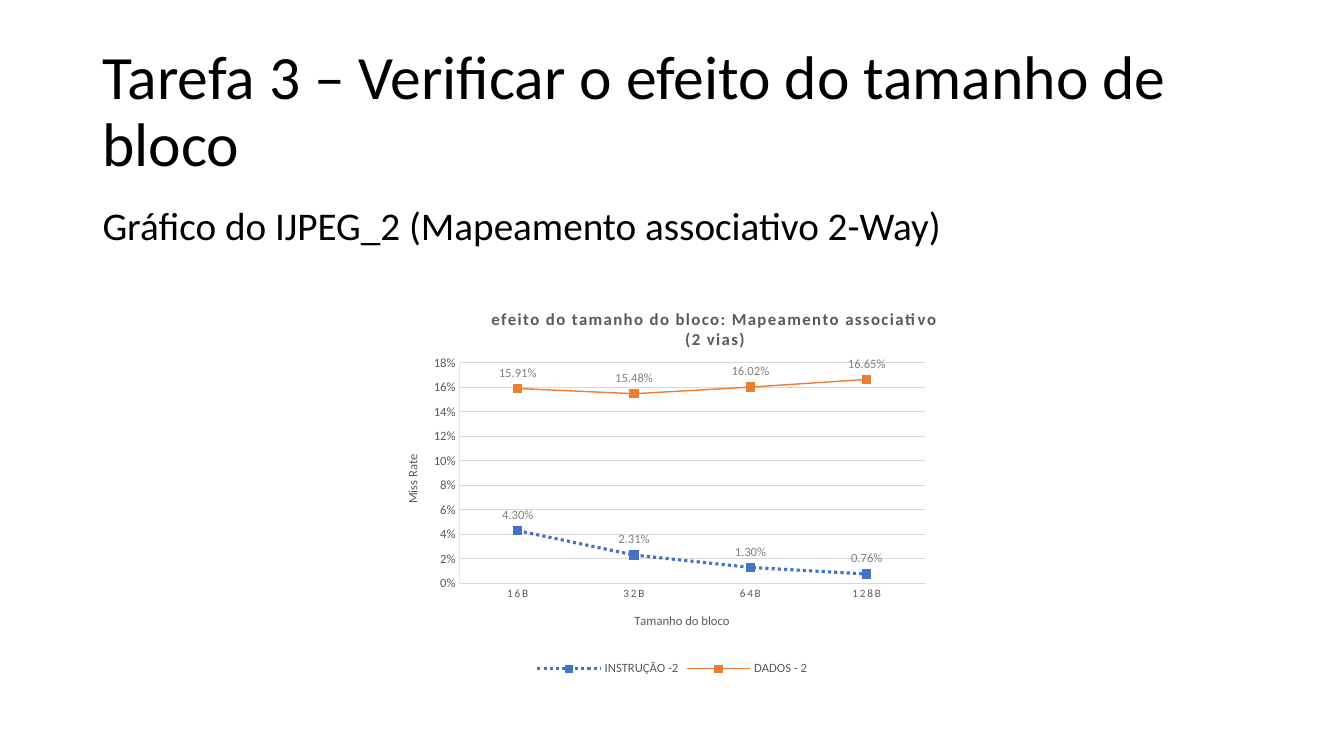
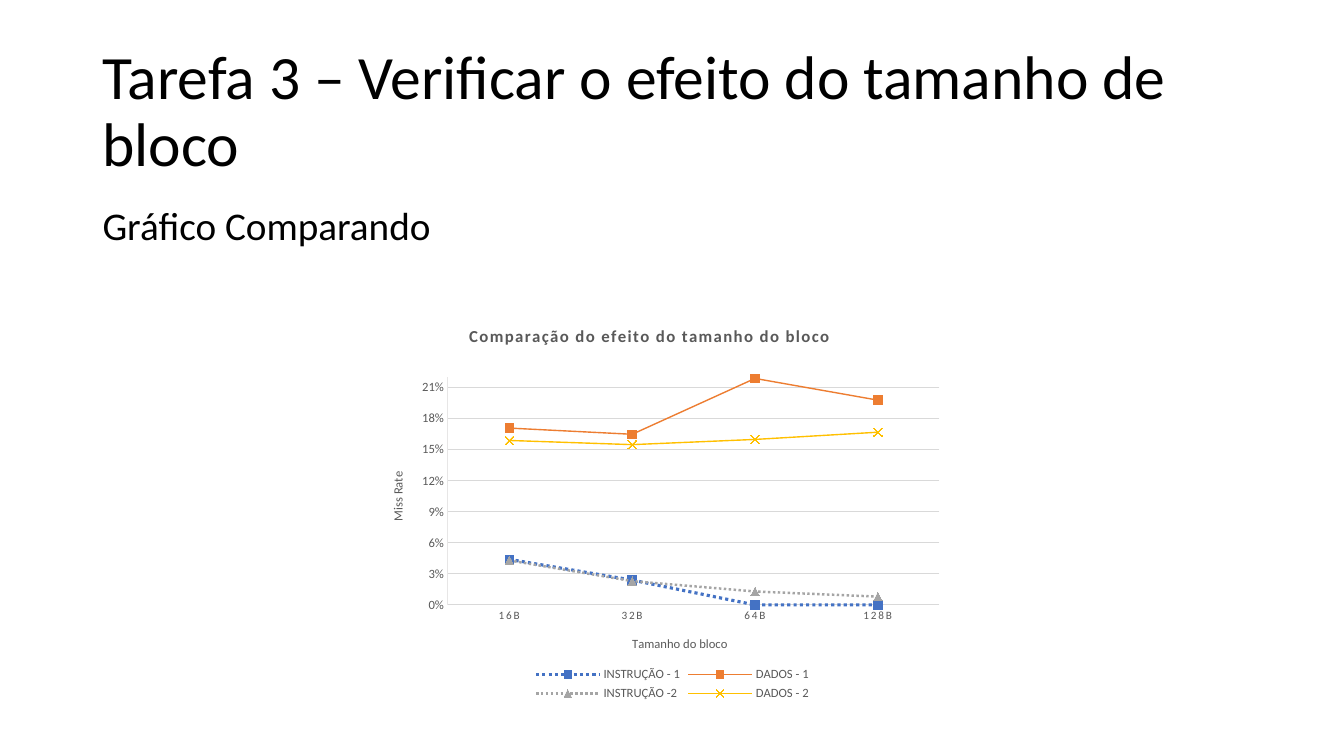
from dataclasses import dataclass

from lxml.etree import SubElement
from pptx import Presentation
from pptx.chart.data import CategoryChartData
from pptx.dml.color import RGBColor
from pptx.enum.chart import (XL_CHART_TYPE, XL_LABEL_POSITION, XL_LEGEND_POSITION,
                             XL_MARKER_STYLE, XL_TICK_MARK)
from pptx.enum.dml import MSO_LINE
from pptx.enum.text import MSO_ANCHOR, PP_ALIGN
from pptx.oxml.ns import qn
from pptx.util import Cm, Pt

FONT = "Calibri"
BLACK = RGBColor(0x00, 0x00, 0x00)
DARK_GRAY = RGBColor(0x59, 0x59, 0x59)
LABEL_GRAY = RGBColor(0x80, 0x80, 0x80)
GRID_GRAY = RGBColor(0xD9, 0xD9, 0xD9)
AXIS_GRAY = RGBColor(0xE7, 0xE6, 0xE6)
BLUE = RGBColor(0x44, 0x72, 0xC4)
ORANGE = RGBColor(0xED, 0x7D, 0x31)
GRAY = RGBColor(0xA5, 0xA5, 0xA5)
YELLOW = RGBColor(0xFF, 0xC0, 0x00)

HEADING = "Tarefa 3 – Verificar o efeito do tamanho de bloco"
HEADING_SIZE = 44
BODY_SIZE = 28
BLOCK_SIZES = ["16B", "32B", "64B", "128B"]
SQUARE = XL_MARKER_STYLE.SQUARE


@dataclass
class MissRate:
    """One miss-rate curve and its look."""
    name: str
    values: list
    color: RGBColor
    width: float = 1
    dotted: bool = False
    marker: XL_MARKER_STYLE = SQUARE


def style_font(font, size, color, bold=False):
    """Apply the deck's typeface with a size, colour and weight."""
    font.name = FONT
    font.size = Pt(size)
    font.bold = bold
    font.color.rgb = color


def style_line(line, color, width):
    """Give a line its colour and width in points."""
    line.color.rgb = color
    line.width = Pt(width)


def style_master(master):
    """Make first-level body text plain, unbulleted and of the deck's size."""
    for level in master.element.xpath("./p:txStyles/p:bodyStyle/a:lvl1pPr"):
        level.set("marL", "0")
        level.set("indent", "0")
        for tag in ("a:buFont", "a:buChar"):
            for bullet in level.findall(qn(tag)):
                level.remove(bullet)
        level.find(qn("a:defRPr")).set("sz", str(BODY_SIZE * 100))


def place_text(placeholder, text, size, box, anchor, space_before=0):
    """Move a placeholder and fill it with one left-aligned paragraph."""
    placeholder.left, placeholder.top, placeholder.width, placeholder.height = map(Cm, box)
    frame = placeholder.text_frame
    frame.text = text
    frame.vertical_anchor = anchor
    paragraph = frame.paragraphs[0]
    paragraph.alignment = PP_ALIGN.LEFT
    paragraph.line_spacing = 0.9
    paragraph.space_before = Pt(space_before)
    style_font(paragraph.font, size, BLACK)


def add_content_slide(prs, body_text):
    """Add a slide with the shared heading and one line of body text."""
    slide = prs.slides.add_slide(prs.slide_layouts[1])
    place_text(slide.shapes.title, HEADING, HEADING_SIZE,
               (2.33, 1.01, 29.21, 3.68), MSO_ANCHOR.MIDDLE)
    place_text(slide.placeholders[1], body_text, BODY_SIZE,
               (2.33, 5.08, 29.21, 12.09), MSO_ANCHOR.TOP, 10)
    return slide


def set_layout(parent, index, **settings):
    """Fix the position of a chart part as fractions of the chart."""
    for old_layout in parent.findall(qn("c:layout")):
        parent.remove(old_layout)
    layout = parent.makeelement(qn("c:layout"))
    parent.insert(index, layout)
    manual = SubElement(layout, qn("c:manualLayout"))
    for tag, value in settings.items():
        SubElement(manual, qn(f"c:{tag}")).set("val", str(value))


def set_title(owner, root, title_query, text, size, position, bold=False):
    """Write and place the title of a chart or axis."""
    frame = owner.text_frame
    frame.text = text
    style_font(frame.paragraphs[0].font, size, DARK_GRAY, bold)
    x, y = position
    set_layout(root.xpath(title_query)[0], 1, xMode="edge", yMode="edge", x=x, y=y)


def space_letters(root, text_query, spacing):
    """Spread the letters of a chart text, in hundredths of a point."""
    for properties in root.xpath(f"{text_query}//a:defRPr"):
        properties.set("spc", str(spacing))


def style_axis(axis, size, color):
    """Format tick labels and axis line."""
    axis.major_tick_mark = axis.minor_tick_mark = XL_TICK_MARK.NONE
    style_font(axis.tick_labels.font, size, DARK_GRAY)
    style_line(axis.format.line, color, 0.75)


def style_curve(series, rate, labelled):
    """Format one curve, its markers and its optional value labels."""
    series.smooth = False
    style_line(series.format.line, rate.color, rate.width)
    if rate.dotted:
        series.format.line.dash_style = MSO_LINE.ROUND_DOT
    marker = series.marker
    marker.style = rate.marker
    marker.size = 6
    style_line(marker.format.line, rate.color, 0.75)
    if rate.marker == XL_MARKER_STYLE.X:
        marker.format.fill.background()
    else:
        marker.format.fill.solid()
        marker.format.fill.fore_color.rgb = rate.color
    if labelled:
        labels = series.data_labels
        labels.show_value = True
        labels.position = XL_LABEL_POSITION.ABOVE
        labels.number_format = "0.00%"
        labels.number_format_is_linked = False
        style_font(labels.font, 9, LABEL_GRAY)


def add_miss_rate_chart(slide, box, title, title_position, rates, labelled=False):
    """Add a line chart of miss rate by block size."""
    data = CategoryChartData(number_format="0.00%")
    data.categories = BLOCK_SIZES
    for rate in rates:
        data.add_series(rate.name, rate.values)
    chart = slide.shapes.add_chart(XL_CHART_TYPE.LINE_MARKERS, *map(Cm, box), data).chart
    root = chart.element
    style_font(chart.font, 10, BLACK)

    block_axis, rate_axis = chart.category_axis, chart.value_axis
    style_axis(block_axis, 8, GRID_GRAY)
    style_axis(rate_axis, 9, AXIS_GRAY)
    rate_axis.minimum_scale = 0
    rate_axis.tick_labels.number_format = "0%"
    rate_axis.tick_labels.number_format_is_linked = False
    rate_axis.has_major_gridlines = True
    style_line(rate_axis.major_gridlines.format.line, GRID_GRAY, 0.75)

    chart.has_title = True
    set_title(chart.chart_title, root, "./c:chart/c:title", title, 12, title_position, True)
    set_title(block_axis.axis_title, root, ".//c:catAx/c:title",
              "Tamanho do bloco", 9, (0.43, 0.82))
    set_title(rate_axis.axis_title, root, ".//c:valAx/c:title",
              "Miss Rate", 9, (0.03, 0.41))
    space_letters(root, "./c:chart/c:title", 100)
    space_letters(root, ".//c:catAx/c:txPr", 120)
    set_layout(root.xpath(".//c:plotArea")[0], 0, layoutTarget="inner",
               xMode="edge", yMode="edge", x=0.13, y=0.18, w=0.81, h=0.57)

    chart.has_legend = True
    chart.legend.position = XL_LEGEND_POSITION.BOTTOM
    chart.legend.include_in_layout = False
    style_font(chart.legend.font, 9, DARK_GRAY)
    for series, rate in zip(chart.plots[0].series, rates):
        style_curve(series, rate, labelled)
    return chart


def main():
    """Build the deck."""
    prs = Presentation()
    prs.slide_width, prs.slide_height = Cm(33.87), Cm(19.05)
    style_master(prs.slide_master)

    two_way = add_content_slide(prs, "Gráfico do IJPEG_2 (Mapeamento associativo 2-Way)")
    add_miss_rate_chart(
        two_way, (9.7, 7.39, 14.48, 9.75),
        "efeito do tamanho do bloco: Mapeamento associativo (2 vias)", (0.18, 0.03),
        [MissRate("INSTRUÇÃO -2", [0.043, 0.0231, 0.013, 0.0076], BLUE, 2.25, True),
         MissRate("DADOS - 2", [0.1591, 0.1548, 0.1602, 0.1665], ORANGE)],
        labelled=True)

    comparison = add_content_slide(prs, "Gráfico Comparando")
    comparison_chart = add_miss_rate_chart(
        comparison, (9.3, 7.7, 15.29, 10.06),
        "Comparação do efeito do tamanho do bloco", (0.16, 0.04),
        [MissRate("INSTRUÇÃO - 1", [0.044, 0.024, 0, 0], BLUE, 2.25, True),
         MissRate("DADOS - 1", [0.171, 0.165, 0.219, 0.198], ORANGE),
         MissRate("INSTRUÇÃO -2", [0.043, 0.023, 0.013, 0.008], GRAY, 1.75, True,
                  XL_MARKER_STYLE.TRIANGLE),
         MissRate("DADOS - 2", [0.159, 0.155, 0.16, 0.167], YELLOW,
                  marker=XL_MARKER_STYLE.X)])
    comparison_chart.value_axis.maximum_scale = 0.22
    comparison_chart.value_axis.major_unit = 0.03

    prs.save("out.pptx")


if __name__ == "__main__":
    main()
